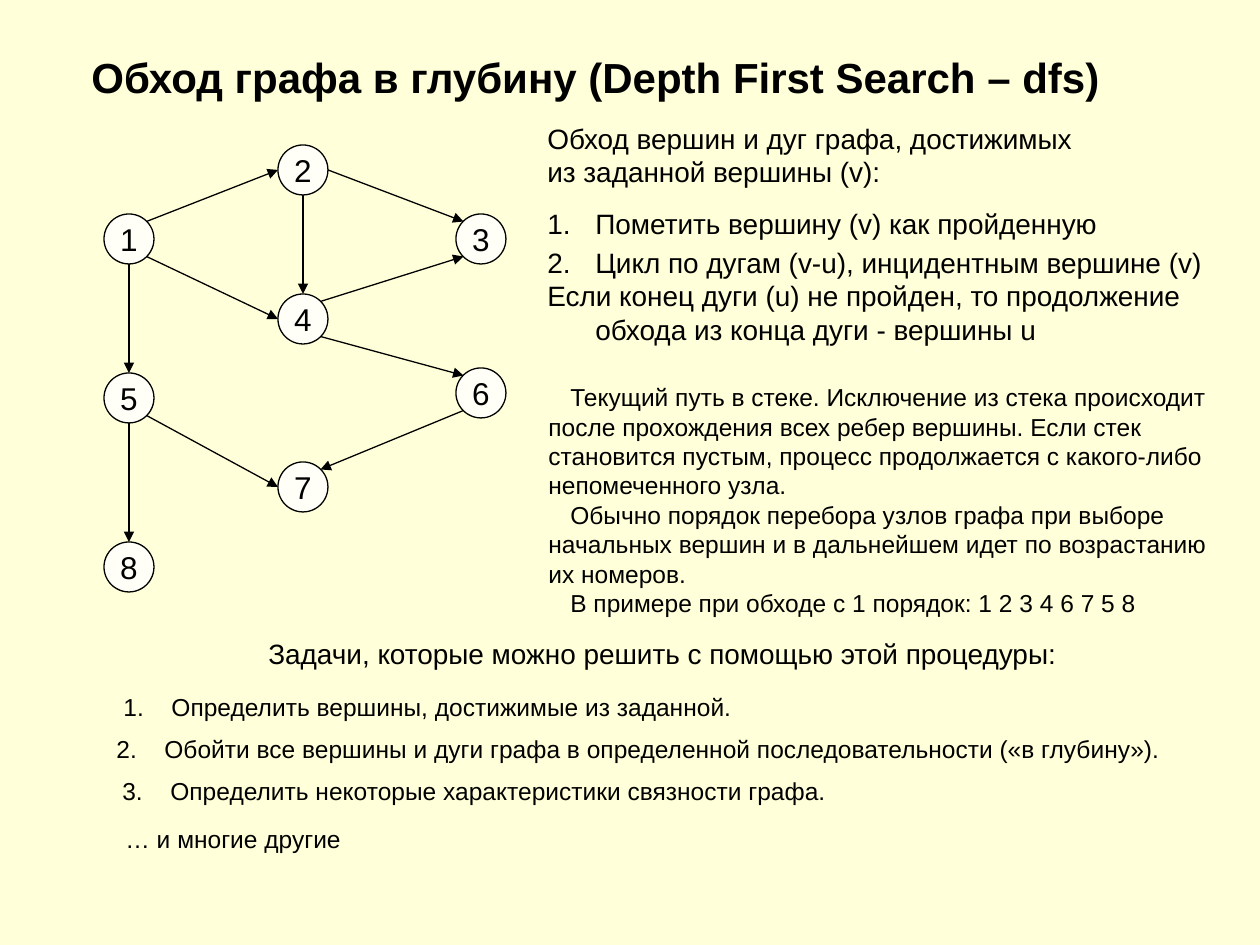
from lxml.etree import SubElement
from pptx import Presentation
from pptx.dml.color import RGBColor
from pptx.enum.shapes import MSO_CONNECTOR, MSO_SHAPE
from pptx.enum.text import MSO_ANCHOR, PP_ALIGN
from pptx.oxml.ns import qn
from pptx.util import Pt

SCALE = 914400 / 126
FONT, BLACK, PAPER, NODE_FILL = "Arial", "000000", "FFFFD9", "FFFFF7"
NODE_SIZE, HANG, FIRST_LINE = 50, 48, 22

NODES = {
    "1": (104, 214), "2": (278, 145), "3": (456, 214), "4": (278, 294),
    "5": (104, 373), "6": (456, 368), "7": (278, 462), "8": (104, 542),
}
SITES = {
    "top": (0.5, 0), "bottom": (0.5, 1), "left": (0, 0.5), "right": (1, 0.5),
    "top left": (0.15, 0.15), "top right": (0.85, 0.15),
    "bottom left": (0.15, 0.85), "bottom right": (0.85, 0.85),
}
EDGES = [
    ("1", "top right", "2", "left"),
    ("2", "right", "3", "top left"),
    ("2", "bottom", "4", "top"),
    ("4", "top right", "3", "bottom left"),
    ("1", "bottom right", "4", "left"),
    ("4", "bottom right", "6", "top left"),
    ("6", "bottom left", "7", "top right"),
    ("1", "bottom", "5", "top"),
    ("5", "bottom", "8", "top"),
    ("5", "bottom right", "7", "left"),
]
HANGING = {"left": HANG, "indent": -HANG}
TEXTS = [
    ((79, 45, 1067, 63), 24, [
        ("Обход графа в глубину (Depth First Search – dfs)", {"bold": True})]),
    ((535, 115, 602, 81), 16, [
        ("Обход вершин и дуг графа, достижимых\vиз заданной вершины (v):", {})]),
    ((535, 200, 634, 47), 16, [
        ("Пометить вершину (v) как пройденную", {"number": 1, **HANGING})]),
    ((535, 239, 716, 113), 16, [
        ("Цикл по дугам (v-u), инцидентным вершине (v)", {"number": 2, **HANGING}),
        ("Если конец дуги (u) не пройден, то продолжение обхода из конца дуги - вершины u",
         HANGING)]),
    ((536, 376, 708, 249), 14, [
        ("Текущий путь в стеке. Исключение из стека происходит после прохождения всех "
         "ребер вершины. Если стек становится пустым, процесс продолжается с какого-либо "
         "непомеченного узла.", {"indent": FIRST_LINE}),
        ("Обычно порядок перебора узлов графа при выборе начальных вершин и в дальнейшем "
         "идет по возрастанию их номеров.", {"indent": FIRST_LINE}),
        ("В примере при обходе с 1 порядок: 1 2 3 4 6 7 5 8", {"indent": FIRST_LINE})]),
    ((256, 630, 816, 47), 16, [
        ("Задачи, которые можно решить с помощью этой процедуры:", {})]),
    ((111, 686, 634, 43), 14, [
        ("Определить вершины, достижимые из заданной.", {"number": 1, **HANGING})]),
    ((104, 728, 1073, 43), 14, [
        ("Обойти все вершины и дуги графа в определенной последовательности («в глубину»).",
         {"number": 2, **HANGING})]),
    ((110, 770, 731, 43), 14, [
        ("Определить некоторые характеристики связности графа.", {"number": 3, **HANGING})]),
    ((113, 818, 335, 43), 14, [("… и многие другие", HANGING)]),
]


def px(*values):
    return [round(value * SCALE) for value in values]


def color(value):
    return RGBColor.from_string(value)


def write(para, text, size, bold=False, align=PP_ALIGN.LEFT, left=0, indent=0, number=None):
    properties = para._p.get_or_add_pPr()
    margin, first = px(left, indent)
    properties.set("marL", str(margin))
    properties.set("indent", str(first))
    if number:
        SubElement(properties, qn("a:buFont"), typeface=FONT)
        SubElement(properties, qn("a:buAutoNum"), type="arabicPeriod", startAt=str(number))
    else:
        SubElement(properties, qn("a:buNone"))
    para.alignment = align
    para.text = text
    for span in para.runs:
        span.font.name, span.font.size, span.font.bold = FONT, Pt(size), bold
        span.font.color.rgb = color(BLACK)


def add_text(page, place, size, paragraphs):
    frame = page.shapes.add_textbox(*px(*place)).text_frame
    frame.word_wrap = True
    for index, (text, style) in enumerate(paragraphs):
        para = frame.add_paragraph() if index else frame.paragraphs[0]
        write(para, text, size, **style)


def add_node(page, label, left, top):
    node = page.shapes.add_shape(MSO_SHAPE.OVAL, *px(left, top, NODE_SIZE, NODE_SIZE))
    node.shadow.inherit = False
    node.fill.solid()
    node.fill.fore_color.rgb = color(NODE_FILL)
    node.line.color.rgb = color(BLACK)
    node.line.width = Pt(0.75)
    node.text_frame.word_wrap = False
    node.text_frame.vertical_anchor = MSO_ANCHOR.MIDDLE
    write(node.text_frame.paragraphs[0], label, 18, align=PP_ALIGN.CENTER)
    return node


def site_point(label, site):
    return px(*(start + part * NODE_SIZE for start, part in zip(NODES[label], SITES[site])))


def add_edge(page, nodes, source, source_site, target, target_site):
    edge = page.shapes.add_connector(
        MSO_CONNECTOR.STRAIGHT, *site_point(source, source_site), *site_point(target, target_site))
    if target_site == "top":
        edge.end_connect(nodes[target], 0)
    edge.line.color.rgb = color(BLACK)
    edge.line.width = Pt(0.75)
    SubElement(edge.line._get_or_add_ln(), qn("a:tailEnd"), type="triangle")
    SubElement(edge._element.spPr, qn("a:effectLst"))


def main():
    """Build the depth-first search slide."""
    deck = Presentation()
    deck.slide_width, deck.slide_height = px(1260, 945)
    page = deck.slides.add_slide(deck.slide_layouts[6])
    page.background.fill.solid()
    page.background.fill.fore_color.rgb = color(PAPER)
    nodes = {label: add_node(page, label, *place) for label, place in NODES.items()}
    for edge in EDGES:
        add_edge(page, nodes, *edge)
    for place, size, paragraphs in TEXTS:
        add_text(page, place, size, paragraphs)
    deck.save("out.pptx")


if __name__ == "__main__":
    main()
